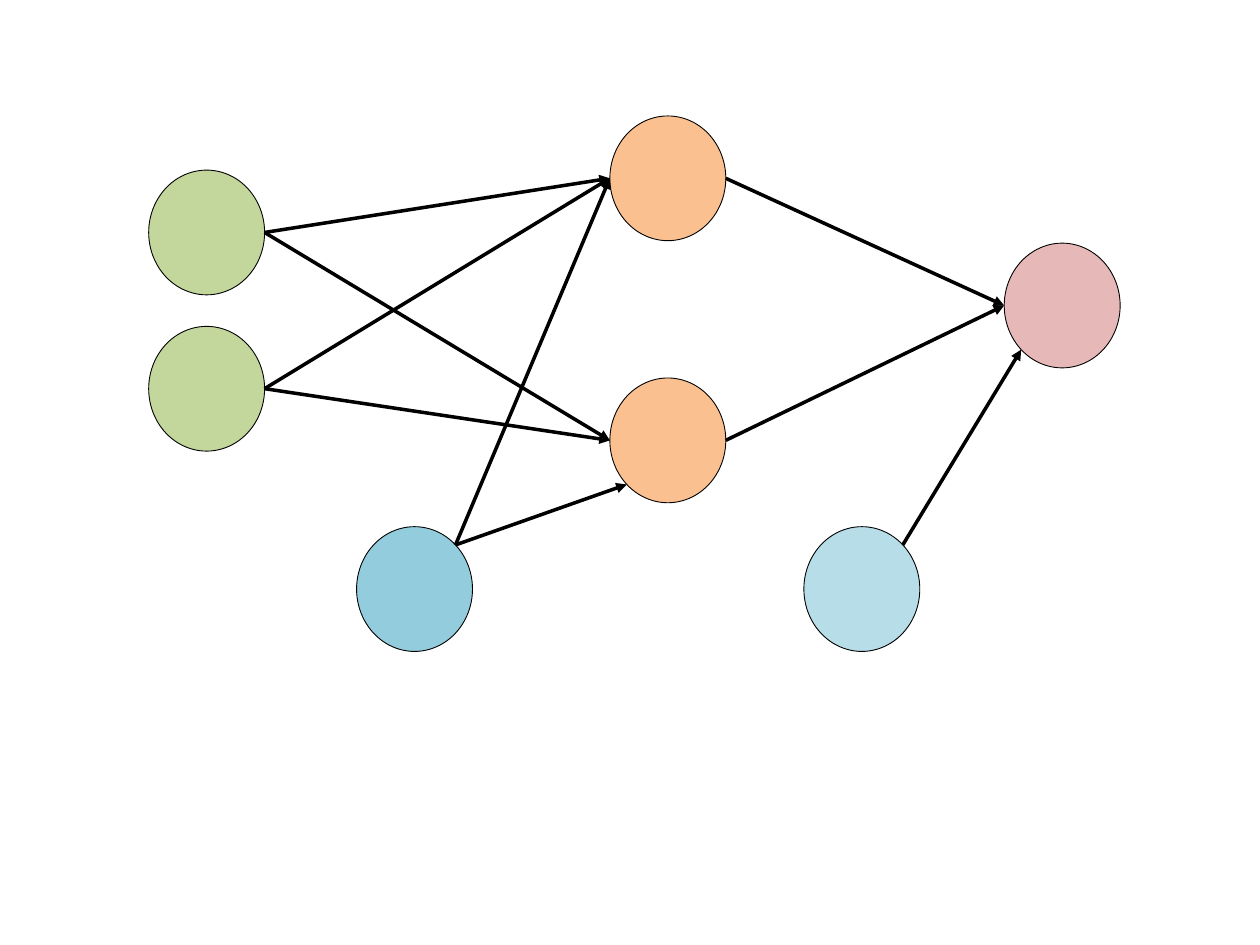
from dataclasses import dataclass
from math import cos, radians, sin

from lxml import etree
from pptx import Presentation
from pptx.dml.color import RGBColor
from pptx.enum.shapes import MSO_CONNECTOR, MSO_SHAPE
from pptx.oxml.ns import qn
from pptx.util import Inches, Pt

OVAL = MSO_SHAPE.OVAL
STRAIGHT = MSO_CONNECTOR.STRAIGHT

NODE_WIDTH, NODE_HEIGHT = 0.92, 0.99
BLACK = "000000"
GREEN, ORANGE, PINK = "C3D69B", "FAC090", "E6B9B8"
BLUE, PALE_BLUE = "93CDDD", "B7DEE8"

# Angles on a node's outline, counterclockwise from the right
RIGHT, UPPER_RIGHT, LEFT, LOWER_LEFT = 0, 45, 180, 225


@dataclass(frozen=True)
class Node:
    left: float
    top: float
    fill: str

    def point_at(self, angle: float) -> tuple[float, float]:
        """Return the point of the outline at an angle in degrees."""
        turn = radians(angle)
        return (
            self.left + NODE_WIDTH / 2 * (1 + cos(turn)),
            self.top + NODE_HEIGHT / 2 * (1 - sin(turn)),
        )


@dataclass(frozen=True)
class Edge:
    source: Node
    target: Node
    leave: float = RIGHT
    enter: float = LEFT


INPUTS = [Node(1.18, top, GREEN) for top in (1.35, 2.59)]
HIDDEN = [Node(4.84, top, ORANGE) for top in (0.92, 3.0)]
OUTPUT = Node(7.97, 1.93, PINK)
HIDDEN_BIAS = Node(2.83, 4.18, BLUE)
OUTPUT_BIAS = Node(6.38, 4.18, PALE_BLUE)

NODES = [*INPUTS, *HIDDEN, OUTPUT, HIDDEN_BIAS, OUTPUT_BIAS]
EDGES = [
    *(Edge(source, target) for target in HIDDEN for source in INPUTS),
    *(Edge(source, OUTPUT) for source in HIDDEN),
    Edge(HIDDEN_BIAS, HIDDEN[0], leave=UPPER_RIGHT),
    Edge(HIDDEN_BIAS, HIDDEN[1], leave=UPPER_RIGHT, enter=LOWER_LEFT),
    Edge(OUTPUT_BIAS, OUTPUT, leave=UPPER_RIGHT, enter=LOWER_LEFT),
]


def color(value: str) -> RGBColor:
    return RGBColor.from_string(value)


def draw_node(page, node: Node) -> None:
    shape = page.shapes.add_shape(
        OVAL, Inches(node.left), Inches(node.top),
        Inches(NODE_WIDTH), Inches(NODE_HEIGHT),
    )
    shape.shadow.inherit = False
    shape.fill.solid()
    shape.fill.fore_color.rgb = color(node.fill)
    shape.line.color.rgb = color(BLACK)
    shape.line.width = Pt(0.5)


def draw_edge(page, edge: Edge) -> None:
    start = edge.source.point_at(edge.leave)
    end = edge.target.point_at(edge.enter)
    arrow = page.shapes.add_connector(
        STRAIGHT, *(Inches(value) for value in (*start, *end))
    )
    arrow.line.color.rgb = color(BLACK)
    arrow.line.width = Pt(2)
    outline = arrow.line._get_or_add_ln()
    etree.SubElement(outline, qn("a:tailEnd"), type="triangle")
    etree.SubElement(arrow._element.spPr, qn("a:effectLst"))


def main() -> None:
    deck = Presentation()
    deck.slide_width, deck.slide_height = Inches(10), Inches(7.5)
    page = deck.slides.add_slide(deck.slide_layouts[6])
    for node in NODES:
        draw_node(page, node)
    for edge in EDGES:
        draw_edge(page, edge)
    deck.save("out.pptx")


if __name__ == "__main__":
    main()
